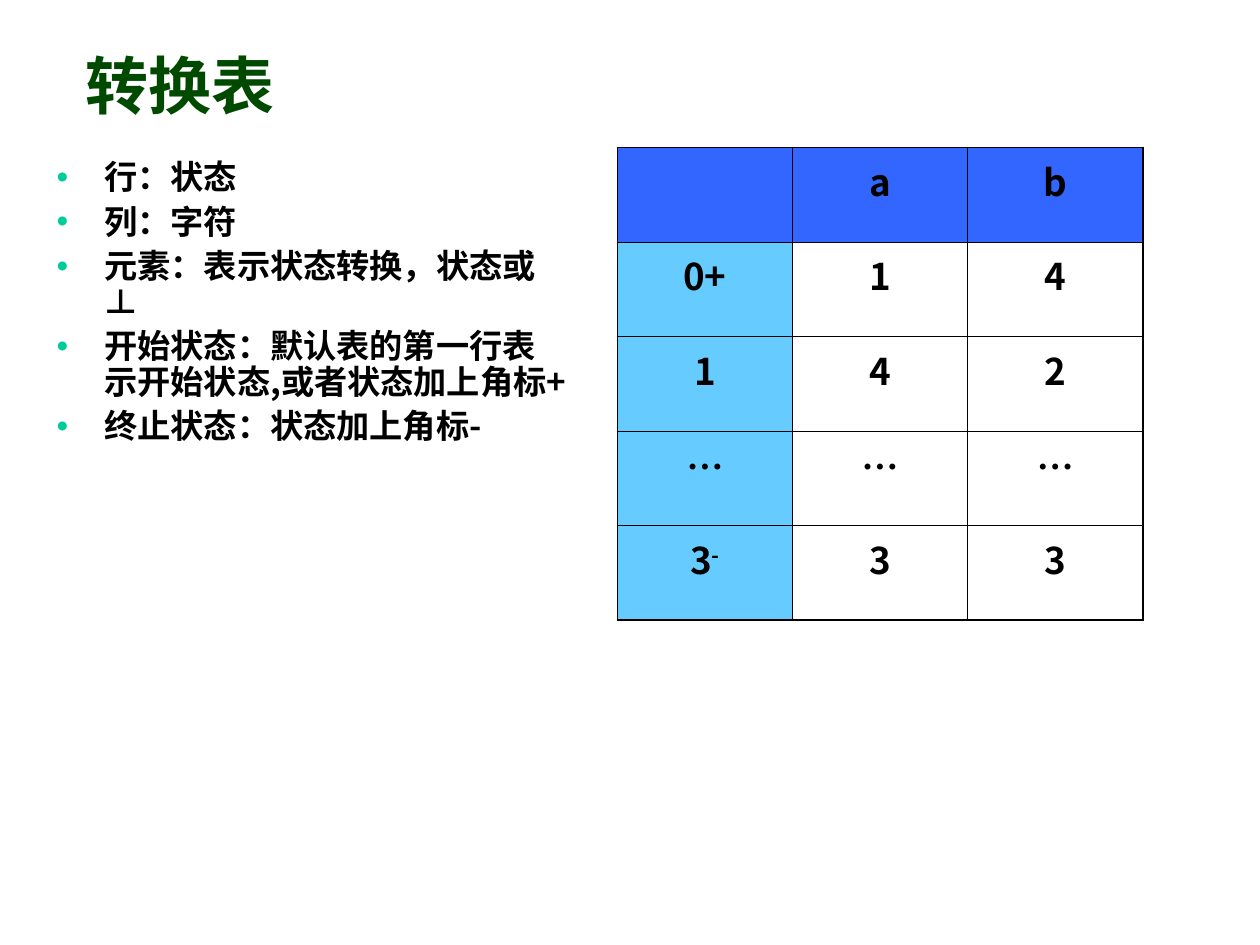
from pptx import Presentation
from pptx.dml.color import RGBColor
from pptx.enum.text import MSO_ANCHOR, PP_ALIGN
from pptx.oxml.xmlchemy import OxmlElement
from pptx.util import Inches, Pt

SANS = "Noto Sans CJK SC"
BLACK = "000000"
THIN, THICK = 0.45, 1.08
TITLE_FORMAT = {"size": Pt(36), "bold": True, "name": SANS}
BODY_FORMAT = {"size": Pt(19), "bold": True, "name": SANS}
CELL_FORMAT = {"size": Pt(21), "bold": True, "name": SANS}
BULLETS = [
    [("行：状态", SANS)],
    [("列：字符", SANS)],
    [("元素：表示状态转换，状态或", SANS), ("⊥", "Arial")],
    [("开始状态：默认表的第一行表示开始状态,或者状态加上角标+", SANS)],
    [("终止状态：状态加上角标-", SANS)],
]
TRANSITIONS = [
    ["", "a", "b"],
    ["0+", "1", "4"],
    ["1", "4", "2"],
    ["…", "…", "…"],
    ["3", "3", "3"],
]


def color(value):
    """Turn a hex string into a colour."""
    return RGBColor.from_string(value)


def add_element(parent, tag, **attributes):
    """Append an XML element with attributes and return it."""
    element = OxmlElement(tag)
    for name, value in attributes.items():
        element.set(name, value)
    parent.append(element)
    return element


def add_run(paragraph, text, text_format, text_color=BLACK):
    """Add a formatted run, using its font for East Asian text too."""
    run = paragraph.add_run()
    run.text = text
    for name, value in text_format.items():
        setattr(run.font, name, value)
    run.font.color.rgb = color(text_color)
    add_element(run._r.get_or_add_rPr(), "a:ea", typeface=text_format["name"])
    return run


def add_text_box(slide, left, top, width, height, anchor):
    """Add a wrapping text box and return its text frame."""
    box = slide.shapes.add_textbox(Inches(left), Inches(top), Inches(width), Inches(height))
    frame = box.text_frame
    frame.word_wrap = True
    frame.vertical_anchor = anchor
    return frame


def add_bullets(frame, items):
    """Fill a text frame with bulleted paragraphs."""
    for index, item in enumerate(items):
        paragraph = frame.add_paragraph() if index else frame.paragraphs[0]
        properties = paragraph._p.get_or_add_pPr()
        properties.set("marL", str(Inches(0.38)))
        properties.set("indent", str(-Inches(0.38)))
        bullet_color = add_element(properties, "a:buClr")
        add_element(bullet_color, "a:srgbClr", val="00CC99")
        add_element(properties, "a:buFont", typeface="Arial")
        add_element(properties, "a:buChar", char="•")
        paragraph.line_spacing = 0.9
        paragraph.space_before = Pt(4.8 if index else 0)
        for text, font_name in item:
            add_run(paragraph, text, {**BODY_FORMAT, "name": font_name})


def set_borders(cell, widths):
    """Draw the cell's black borders with widths given by side."""
    properties = cell._tc.get_or_add_tcPr()
    for side, width in widths.items():
        line = add_element(properties, f"a:ln{side}", w=str(Pt(width)))
        fill = add_element(line, "a:solidFill")
        add_element(fill, "a:srgbClr", val=BLACK)


def set_fill(cell, row, column):
    """Fill header cells and leave the others clear."""
    if row and column:
        cell.fill.background()
    else:
        cell.fill.solid()
        cell.fill.fore_color.rgb = color("66CCFF" if row else "3366FF")


def add_transition_table(slide, rows):
    """Add the table of state transitions."""
    last_row, last_column = len(rows) - 1, len(rows[0]) - 1
    table = slide.shapes.add_table(
        len(rows), len(rows[0]), Inches(4.9), Inches(1.17), Inches(4.17), Inches(3.75)
    ).table
    table.first_row = table.horz_banding = False
    for row, values in enumerate(rows):
        for column, value in enumerate(values):
            cell = table.cell(row, column)
            set_borders(cell, {
                "L": THIN if column else THICK,
                "R": THICK if column == last_column else THIN,
                "T": THIN if row else THICK,
                "B": THICK if row == last_row else THIN,
            })
            set_fill(cell, row, column)
            paragraph = cell.text_frame.paragraphs[0]
            paragraph.alignment = PP_ALIGN.CENTER
            if value:
                font_name = "Times New Roman" if value == "…" else SANS
                add_run(paragraph, value, {**CELL_FORMAT, "name": font_name})
    final_state = table.cell(last_row, 0).text_frame.paragraphs[0]
    mark = add_run(final_state, "-", CELL_FORMAT)
    mark._r.get_or_add_rPr().set("baseline", "30000")


def main():
    """Build the slide and save it."""
    presentation = Presentation()
    presentation.slide_width, presentation.slide_height = Inches(10), Inches(7.5)
    slide = presentation.slides.add_slide(presentation.slide_layouts[6])
    title = add_text_box(slide, 0.58, 0.17, 8.49, 1, MSO_ANCHOR.MIDDLE)
    add_run(title.paragraphs[0], "转换表", TITLE_FORMAT, "004A00")
    body = add_text_box(slide, 0.35, 1.23, 4.25, 5.17, MSO_ANCHOR.TOP)
    add_bullets(body, BULLETS)
    add_transition_table(slide, TRANSITIONS)
    presentation.save("out.pptx")


if __name__ == "__main__":
    main()
